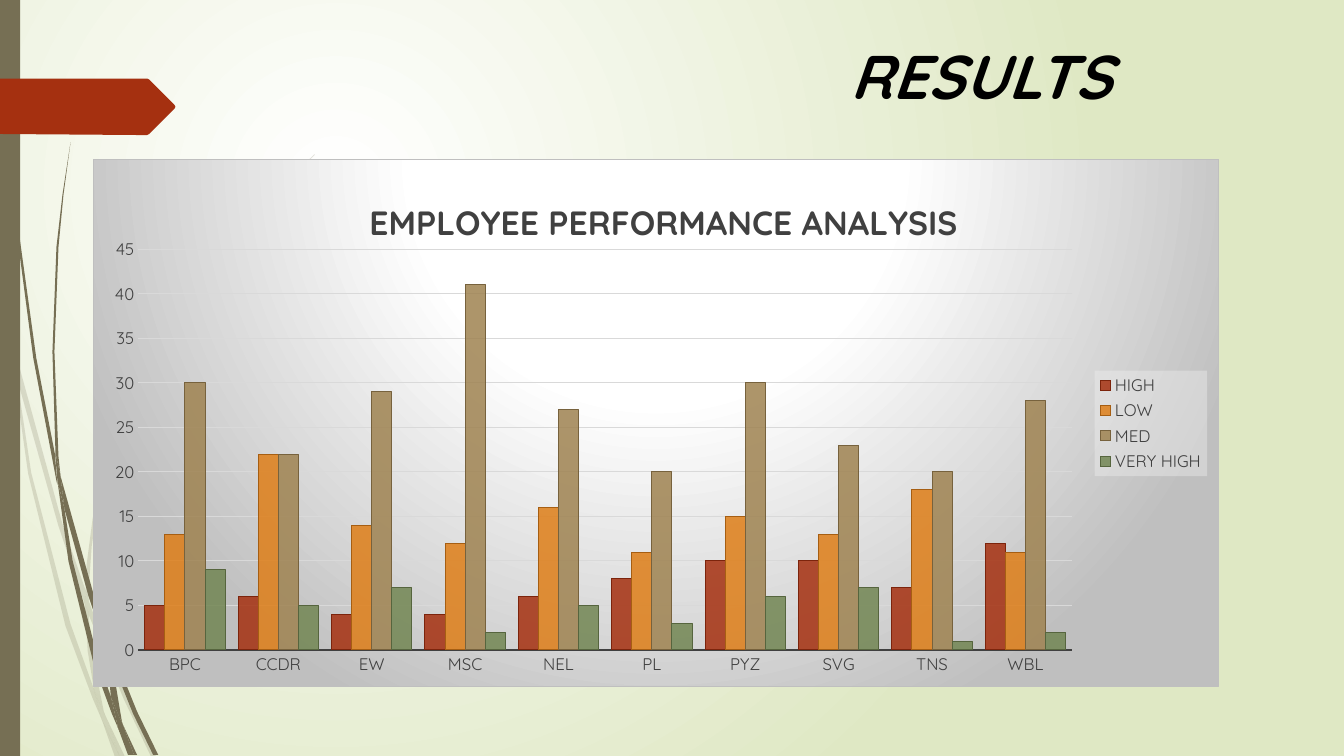
import pptx
import pptx.chart.data
import pptx.dml.color
import pptx.enum.chart
import pptx.enum.shapes
import pptx.enum.text
import pptx.oxml
import pptx.oxml.ns
import pptx.util

COLUMNS, ROWS = 1333, 750
OLIVE, RUST, BLACK, CHARCOAL, SILVER = "766F54", "A53010", "000000", "404040", "BFBFBF"

PALE_STRANDS = [
    "11,350 9,322 0,282 0,299 10,344",
    "58,522 84,599 85,586 62,520 14,345 17,376",
    "92,607 88,596 88,610 123,694 150,751 155,751 127,692",
    "119,751 124,751 105,711",
    "93,683 70,619 31,469 17,376 11,350 28,470 65,621 92,693 101,714 99,707",
    "84,599 87,646 93,683 96,692 105,711 103,706 91,646 88,610 88,608",
    "88,584 91,542 95,515 110,462 132,405 160,349 192,296 229,245 268,198 290,175 312,154 "
    "312,153 289,175 268,197 228,244 190,294 158,348 129,404 107,461 92,514 86,560 85,586 88,596",
    "101,714 114,751 119,751",
    "88,608 88,610 88,596 85,586 84,599",
    "96,692 93,683 99,707 101,714 119,751 105,711",
]
DARK_STRANDS = [
    "7,110 17,233 33,355 56,477 57,481 55,457 55,453 36,355 19,232 8,109 5,48 4,0 3,0 4,48",
    "88,592 106,645 106,633 106,631 93,590 60,472 64,505",
    "113,649 110,641 111,656 132,708 152,749 157,749 136,706",
    "110,691 98,657 72,556 64,505 57,477 68,557 93,659 111,708 117,722 116,717",
    "60,472 58,453 54,349 58,245 63,193 70,141 62,193 56,245 52,349 55,449",
    "133,749 136,749 122,719",
    "57,477 64,505 60,472 55,449 55,453",
    "111,633 115,592 125,552 140,512 158,476 180,440 205,406 231,374 245,359 261,344 "
    "260,344 245,358 231,373 204,405 178,439 156,474 137,511 122,551 111,591 106,631 110,641",
    "117,722 127,749 131,749",
    "106,645 110,691 116,706 122,719 121,716 111,656 109,651",
    "106,645 109,651 111,656 110,641 106,631 106,633",
    "116,706 110,691 116,717 117,722 130,749 133,749 122,719",
]
ARROW_TAB = "173,108 148,133 146,134 136,134 0,133 0,78 136,78 146,78 148,79 173,104 174,106"

UNITS = ["BPC", "CCDR", "EW", "MSC", "NEL", "PL", "PYZ", "SVG", "TNS", "WBL"]
RATINGS = [
    ("HIGH", [5, 6, 4, 4, 6, 8, 10, 10, 7, 12], RUST, "7C240C"),
    ("LOW", [13, 22, 14, 12, 16, 11, 15, 13, 18, 11], "DE7E18", "A65E12"),
    ("MED", [30, 22, 29, 41, 27, 20, 30, 23, 20, 28], "9F8351", "77623D"),
    ("VERY HIGH", [9, 5, 7, 2, 5, 3, 6, 7, 1, 2], "728653", "56653E"),
]


def rgb(code):
    return pptx.dml.color.RGBColor.from_string(code)


def assign(target, values):
    for name, value in values.items():
        setattr(target, name, value)


def xml(tag, body):
    spaces = pptx.oxml.ns.nsdecls("a", "c")
    return pptx.oxml.parse_xml(f"<{tag} {spaces}>{body}</{tag}>")


def radial(stops, focus):
    marks = "".join(
        f'<a:gs pos="{place * 1000}"><a:srgbClr val="{code}"/></a:gs>' for place, code in stops)
    edges = " ".join(f'{side}="{share * 1000}"' for side, share in zip("ltrb", focus))
    return (f'<a:gsLst>{marks}</a:gsLst>'
            f'<a:path path="circle"><a:fillToRect {edges}/></a:path>')


def layout(left, top, width=None, height=None, inner=False):
    parts = [("layoutTarget", "inner")] if inner else []
    parts += [("xMode", "edge"), ("yMode", "edge"), ("x", left), ("y", top)]
    parts += [(name, size) for name, size in (("w", width), ("h", height)) if size]
    body = "".join(f'<c:{name} val="{value}"/>' for name, value in parts)
    return xml("c:layout", f"<c:manualLayout>{body}</c:manualLayout>")


class Sheet:
    font = "Quicksand"

    def __init__(self, deck):
        self.page = deck.slides.add_slide(deck.slide_layouts[6])
        self.column = deck.slide_width / COLUMNS
        self.row = deck.slide_height / ROWS

    def area(self, left, top, width, height):
        return [round(left * self.column), round(top * self.row),
                round(width * self.column), round(height * self.row)]

    def style_font(self, font, size, color, **more):
        assign(font, {"name": self.font, "size": pptx.util.Pt(size), **more})
        font.color.rgb = rgb(color)

    def stroke(self, line, color, width):
        line.color.rgb = rgb(color)
        line.width = pptx.util.Pt(width)

    def fade(self, color, share):
        color.append(xml("a:alpha", ""))
        color[-1].set("val", str(share * 1000))

    def paint(self, shape, color, opacity=100):
        shape.shadow.inherit = False
        shape.fill.solid()
        shape.fill.fore_color.rgb = rgb(color)
        shape.line.fill.background()
        if opacity < 100:
            self.fade(shape.element.xpath("./p:spPr/a:solidFill/a:srgbClr")[0], opacity)

    def background(self, stops, focus):
        self.page.background.fill.solid()
        plain = self.page.element.xpath(".//p:bgPr/a:solidFill")[0]
        plain.getparent().replace(plain, xml("a:gradFill", radial(stops, focus)))

    def outline(self, shapes, trace, color, opacity=100):
        points = [tuple(map(int, pair.split(","))) for pair in trace.split()]
        builder = shapes.build_freeform(*points[0], scale=(self.column, self.row))
        builder.add_line_segments(points[1:], close=True)
        self.paint(builder.convert_to_shape(), color, opacity)

    def strands(self, traces, color, opacity=100):
        group = self.page.shapes.add_group_shape()
        for trace in traces:
            self.outline(group.shapes, trace, color, opacity)

    def bar(self, area, color):
        kind = pptx.enum.shapes.MSO_SHAPE.RECTANGLE
        self.paint(self.page.shapes.add_shape(kind, *self.area(*area)), color)

    def heading(self, area, text, size):
        frame = self.page.shapes.add_textbox(*self.area(*area)).text_frame
        assign(frame, {"word_wrap": True,
                       "auto_size": pptx.enum.text.MSO_AUTO_SIZE.SHAPE_TO_FIT_TEXT})
        span = frame.paragraphs[0].add_run()
        span.text = text
        self.style_font(span.font, size, BLACK, bold=True, italic=True)

    def columns(self, area, title, categories, ratings):
        data = pptx.chart.data.CategoryChartData()
        data.categories = categories
        for name, values, *_ in ratings:
            data.add_series(name, values)
        kind = pptx.enum.chart.XL_CHART_TYPE.COLUMN_CLUSTERED
        chart = self.page.shapes.add_chart(kind, *self.area(*area), data).chart
        self.style_font(chart.font, 10, BLACK)
        plot = chart.plots[0]
        assign(plot, {"gap_width": 65, "overlap": 0, "vary_by_categories": False})
        for series, (_, _, color, edge) in zip(plot.series, ratings):
            series.format.fill.solid()
            series.format.fill.fore_color.rgb = rgb(color)
            self.stroke(series.format.line, edge, 0.75)
        for color in chart.element.xpath(".//c:ser/c:spPr/a:solidFill/a:srgbClr"):
            self.fade(color, 85)
        self.axes(chart)
        self.caption(chart, title)
        self.legend(chart)
        self.backdrop(chart)

    def axes(self, chart):
        for axis in (chart.category_axis, chart.value_axis):
            none = pptx.enum.chart.XL_TICK_MARK.NONE
            assign(axis, {"major_tick_mark": none, "minor_tick_mark": none})
            self.style_font(axis.tick_labels.font, 12, CHARCOAL)
        self.stroke(chart.category_axis.format.line, CHARCOAL, 1.5)
        scale = chart.value_axis
        assign(scale, {"minimum_scale": 0, "maximum_scale": 45, "major_unit": 5})
        scale.format.line.fill.background()
        self.stroke(scale.major_gridlines.format.line, "D9D9D9", 0.75)

    def caption(self, chart, title):
        para = chart.chart_title.text_frame.paragraphs[0]
        span = para.add_run()
        span.text = title
        self.style_font(span.font, 24, CHARCOAL, bold=True)

    def legend(self, chart):
        chart.has_legend = True
        assign(chart.legend, {"position": pptx.enum.chart.XL_LEGEND_POSITION.RIGHT,
                              "include_in_layout": False})
        self.style_font(chart.legend.font, 12, CHARCOAL)
        tint = '<a:srgbClr val="F2F2F2"><a:alpha val="39000"/></a:srgbClr>'
        panel = xml("c:spPr", f"<a:solidFill>{tint}</a:solidFill>")
        chart.element.xpath(".//c:legend/c:txPr")[0].addprevious(panel)

    def backdrop(self, chart):
        root = chart.element
        for old in root.xpath(".//c:title/c:layout | .//c:legend/c:layout | .//c:plotArea/c:layout"):
            old.getparent().remove(old)
        root.xpath(".//c:plotArea")[0].insert(0, layout(0.04, 0.17, 0.83, 0.76, inner=True))
        root.xpath("./c:chart/c:title/c:tx")[0].addnext(layout(0.24, 0.06))
        root.xpath(".//c:legend/c:legendPos")[0].addnext(layout(0.89, 0.4, 0.1, 0.2))
        glow = radial([(0, "FFFFFF"), (39, "FFFFFF"), (100, SILVER)], (50, -80, 50, 180))
        border = f'<a:solidFill><a:srgbClr val="{SILVER}"/></a:solidFill>'
        panel = xml("c:spPr", f'<a:gradFill>{glow}</a:gradFill><a:ln w="9525">{border}</a:ln>')
        root.xpath("./c:chart")[0].addnext(panel)


def main():
    deck = pptx.Presentation()
    assign(deck, {"slide_width": pptx.util.Inches(13.33), "slide_height": pptx.util.Inches(7.5)})
    sheet = Sheet(deck)
    sheet.background([(0, "FFFFFF"), (100, "DFE8C4")], (50, 50, 100, 100))
    sheet.strands(PALE_STRANDS, OLIVE, 20)
    sheet.strands(DARK_STRANDS, OLIVE)
    sheet.bar((0, 0, 20, ROWS), OLIVE)
    sheet.outline(sheet.page.shapes, ARROW_TAB, RUST)
    sheet.columns((92, 158, 1117, 524), "EMPLOYEE PERFORMANCE ANALYSIS", UNITS, RATINGS)
    sheet.heading((833, 33, 492, 84), "RESULTS", 44)
    deck.save("out.pptx")


if __name__ == "__main__":
    main()
